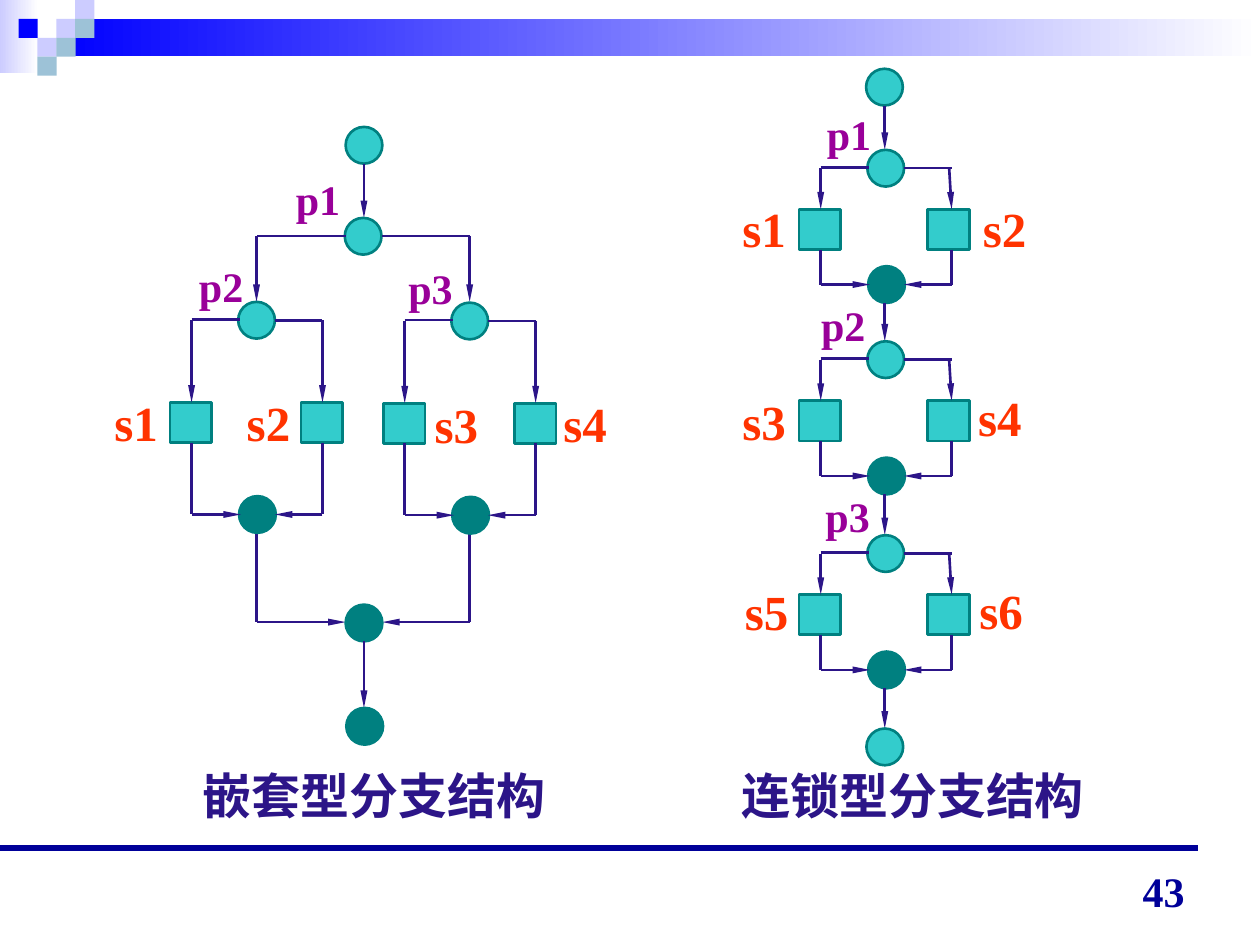
from lxml.etree import SubElement
from pptx import Presentation
from pptx.dml.color import RGBColor
from pptx.enum.shapes import MSO_CONNECTOR, MSO_SHAPE
from pptx.enum.text import MSO_ANCHOR, MSO_AUTO_SIZE, PP_ALIGN
from pptx.oxml.ns import qn
from pptx.util import Pt

COLORS = {
    "ink": "2C1588", "node": "33CCCC", "join": "008080", "step": "FF3300",
    "test": "990099", "navy": "000099", "blue": "0000FF", "lilac": "CCCCFF",
    "steel": "9DC2D7", "white": "FFFFFF",
}
FORMATS = {
    "caption": {"size": Pt(28), "color": "ink"},
    "step": {"size": Pt(28), "color": "step"},
    "test": {"size": Pt(24), "color": "test"},
    "page": {"size": Pt(24), "color": "navy"},
}
NODE = 21                  # diameter of a circle
STEP_W, STEP_H = 23.8, 23  # size of a step box
LEFT_LEG, RIGHT_LEG = -26.6, 48.2  # branch legs, from the left of the test circle


def rgb(name):
    return RGBColor.from_string(COLORS[name])


def add_block(slide, kind, x, y, w, h, fill, outline=None):
    block = slide.shapes.add_shape(kind, Pt(x), Pt(y), Pt(w), Pt(h))
    block.shadow.inherit = False
    if isinstance(fill, tuple):
        block.fill.gradient()
        block.fill.gradient_angle = 0
        for stop, name in zip(block.fill.gradient_stops, fill):
            stop.color.rgb = rgb(name)
    else:
        block.fill.solid()
        block.fill.fore_color.rgb = rgb(fill)
    if outline:
        block.line.color.rgb = rgb(outline)
        block.line.width = Pt(1.5)
    else:
        block.line.fill.background()


def add_node(slide, x, y, fill="node"):
    add_block(slide, MSO_SHAPE.OVAL, x, y, NODE, NODE, fill, "join")


def add_line(slide, x1, y1, x2, y2, arrow=False, color="ink", width=1.5):
    line = slide.shapes.add_connector(
        MSO_CONNECTOR.STRAIGHT, Pt(x1), Pt(y1), Pt(x2), Pt(y2))
    line.line.color.rgb = rgb(color)
    line.line.width = Pt(width)
    if arrow:
        SubElement(line.line._get_or_add_ln(), qn("a:tailEnd"),
                   type="triangle", w="sm", len="lg")
    SubElement(line._element.spPr, qn("a:effectLst"))


def add_text(slide, text, x, y, w, h, style):
    box = slide.shapes.add_textbox(Pt(x), Pt(y), Pt(w), Pt(h))
    frame = box.text_frame
    frame.word_wrap = False
    frame.auto_size = MSO_AUTO_SIZE.SHAPE_TO_FIT_TEXT
    run = frame.paragraphs[0].add_run()
    run.text = text
    look = {"name": "Times New Roman", "bold": True, "size": FORMATS[style]["size"]}
    for attribute, value in look.items():
        setattr(run.font, attribute, value)
    run.font.color.rgb = rgb(FORMATS[style]["color"])
    return frame


def add_label(slide, text, x, y):
    style = "test" if text.startswith("p") else "step"
    add_text(slide, text, x, y, 40.5, 36 if style == "test" else 41, style)


def add_branch(slide, x, y, step_y, join_y, labels, slant=0):
    """One test, two steps and their join; x, y is the corner of the test circle."""
    middle, join_middle = y + NODE / 2, y + join_y + NODE / 2
    left, right = x + LEFT_LEG, x + RIGHT_LEG
    step_top, step_bottom = y + step_y, y + step_y + STEP_H
    add_node(slide, x, y)
    add_node(slide, x + 0.5, y + join_y, "join")
    for step_x in (x - 38.9, x + 36 - slant):
        add_block(slide, MSO_SHAPE.RECTANGLE, step_x, step_top,
                  STEP_W, STEP_H, "node", "join")
    # Arms from the test, legs through the steps, arrows into the join
    add_line(slide, left, middle - 0.5, x + 1, middle - 0.5)
    add_line(slide, x + NODE, middle, right, middle)
    add_line(slide, left, middle, left, step_top, True)
    add_line(slide, right - slant, middle, right, step_top, True)
    for leg, join_edge in ((left, x + 1.5), (right, x + NODE)):
        add_line(slide, leg, step_bottom, leg, join_middle)
        add_line(slide, leg, join_middle, join_edge, join_middle, True)
    for text, (dx, dy) in labels.items():
        add_label(slide, text, x + dx, y + dy)


def add_header(slide, x, y):
    add_block(slide, MSO_SHAPE.RECTANGLE, x, y, 22, 42, ("lilac", "white"))
    add_block(slide, MSO_SHAPE.RECTANGLE, x + 32.4, y + 10.8, 687.6, 21.4,
              ("blue", "white"))
    tile = 10.8
    tiles = [(3, 1, "lilac"), (4, 0, "lilac"), (4, 1, "steel"), (2, 2, "lilac"),
             (1, 1, "blue"), (3, 2, "steel"), (2, 3, "steel")]
    for column, row, color in tiles:
        add_block(slide, MSO_SHAPE.RECTANGLE, x + column * tile - 0.2, y + row * tile,
                  tile + 0.2, tile, color)


def add_nested(slide, x, y):
    """Two branches inside the arms of an outer one."""
    spine, left, right = x + 150, x + 88.6, x + 210.4
    start, test, join, end = y, y + 52, y + 273, y + 332
    arm, merge = test + 10.3, join + 10
    add_node(slide, spine - NODE / 2, start)
    add_line(slide, spine, start + NODE, spine, test, True)
    add_node(slide, spine - NODE / 2 - 0.5, test)
    # Outer arms and their merge
    for leg, side in ((left, -1), (right, 1)):
        add_line(slide, spine + side * NODE / 2, arm, leg, arm)
        add_line(slide, leg, arm, leg, y + 100, True)
        add_line(slide, leg, y + 232.5, leg, merge)
        add_line(slide, leg, merge, spine + side * NODE / 2, merge, True)
    add_branch(slide, left - NODE / 2, y + 100, 57.5, 111,
               {"p2": (-29.5, -27.4), "s1": (-77.8, 48.2), "s2": (-2.2, 48.2)})
    add_branch(slide, right - NODE / 2, y + 100.4, 57.5, 111,
               {"p3": (-31.7, -26.6), "s3": (-16.6, 49), "s4": (56.9, 48.2)})
    add_node(slide, spine - NODE / 2, join, "join")
    add_line(slide, spine, join + NODE, spine, end, True)
    add_node(slide, spine - NODE / 2 + 0.4, end, "join")
    add_label(slide, "p1", x + 104, y + 23)
    add_text(slide, "嵌套型分支结构", x + 50.7, y + 361.4, 210.4, 41, "caption")


def add_chained(slide, x, y):
    """Three branches, each entered from the join of the one before."""
    left, spine = x + 79, x + 89
    branches = [
        (46.3, {"p1": (-30.2, -27.4), "s1": (-78.5, 24.5), "s2": (59, 24.5)}),
        (155.7, {"p2": (-33.5, -27.4), "s3": (-78.5, 25.2), "s4": (56.2, 23)}),
        (266.5, {"p3": (-31, -28.8), "s5": (-77, 23), "s6": (56.9, 22.3)}),
    ]
    exit_y = y + NODE
    add_node(slide, left - 0.7, y)
    for top, labels in branches:
        add_line(slide, spine, exit_y, spine, y + top, True)
        add_branch(slide, left, y + top, 34, 66.5, labels, slant=1.4)
        exit_y = y + top + 66.5 + NODE
    add_line(slide, spine, exit_y, spine, y + 377, True)
    add_node(slide, left - 0.5, y + 377)
    add_text(slide, "连锁型分支结构", x, y + 394.6, 210.4, 41, "caption")


def add_footer(slide, x, y):
    add_line(slide, x, y, x + 684.7, y, color="navy", width=3.25)
    page = add_text(slide, "43", x + 516.2, y + 6.4, 167.8, 36, "page")
    page.word_wrap = True
    page.vertical_anchor = MSO_ANCHOR.BOTTOM
    page.paragraphs[0].alignment = PP_ALIGN.RIGHT


def main():
    deck = Presentation()
    deck.slide_width, deck.slide_height = Pt(720), Pt(540)
    slide = deck.slides.add_slide(deck.slide_layouts[6])
    add_header(slide, 0, 0)
    add_nested(slide, 58, 72.5)
    add_chained(slide, 416.6, 39.3)
    add_footer(slide, 0, 484.6)
    deck.save("out.pptx")


if __name__ == "__main__":
    main()
